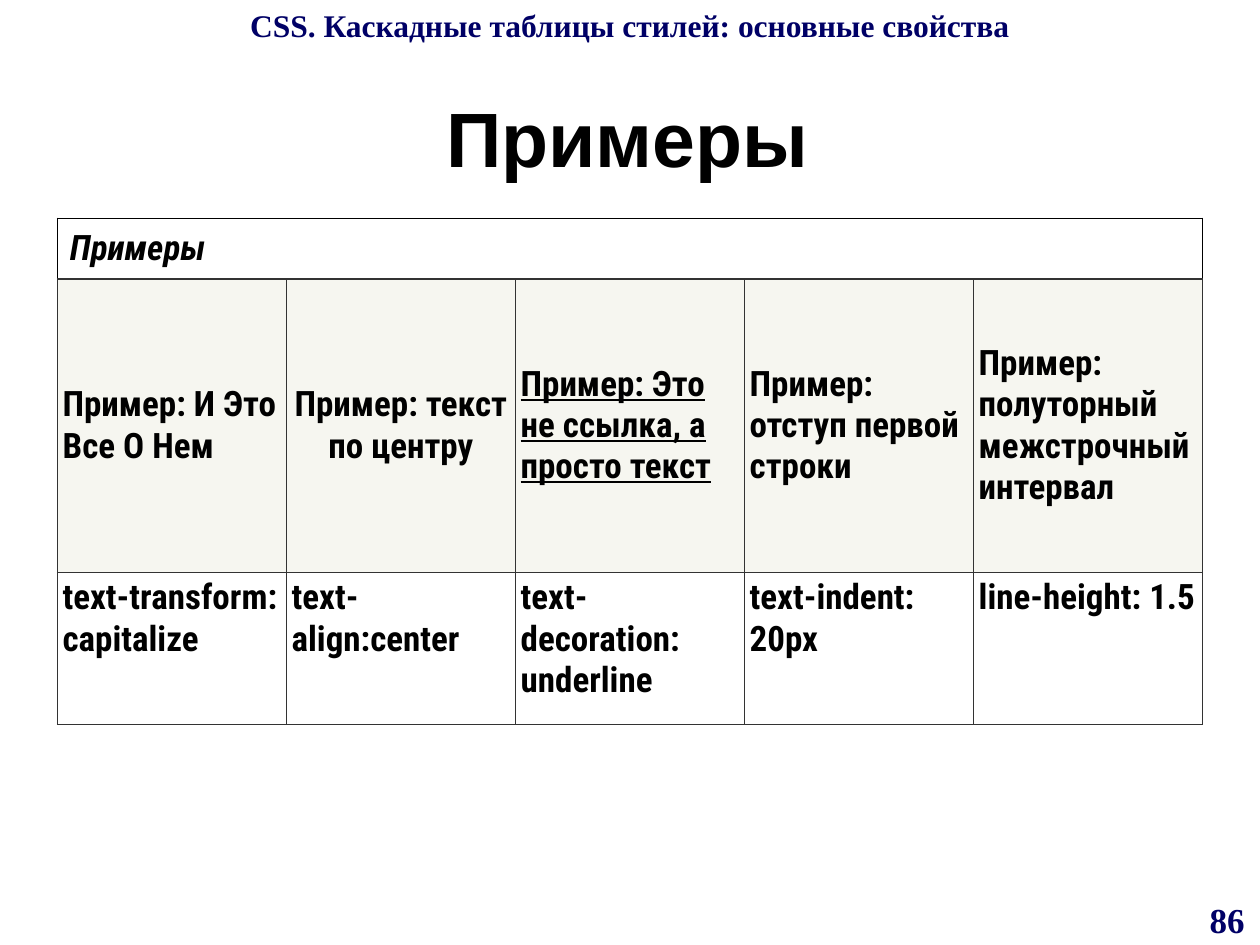
from dataclasses import dataclass

from lxml.etree import SubElement
from pptx import Presentation
from pptx.dml.color import RGBColor
from pptx.enum.text import MSO_ANCHOR as Anchor, PP_ALIGN as Align
from pptx.oxml.ns import qn
from pptx.util import Pt

NAVY, BLACK, WHITE = "000066", "000000", "FFFFFF"
GRID, PALE = "333333", "F6F6F0"


@dataclass
class Label:
    text: str
    left: float
    top: float
    width: float
    height: float
    size: float
    font: str
    color: str
    anchor: Anchor = Anchor.MIDDLE


@dataclass
class Example:
    sample: str
    rule: str
    align: Align = Align.LEFT
    underline: bool = False


LABELS = [
    Label("86", 682.5, 510.5, 37.5, 29.5, 20, "Times New Roman", NAVY),
    Label("CSS. Каскадные таблицы стилей: основные свойства",
          0, 0, 720, 45, 18, "Times New Roman", NAVY, Anchor.TOP),
    Label("Примеры", 34.5, 50, 648, 56, 44, "Arial", BLACK),
]
EXAMPLES = [
    Example("Пример: И Это Все О Нем", "text-transform: capitalize"),
    Example("Пример: текст по центру", "text-align:center", align=Align.CENTER),
    Example("Пример: Это не ссылка, а просто текст",
            "text-decoration: underline", underline=True),
    Example("Пример: отступ первой строки", "text-indent: 20px"),
    Example("Пример: полуторный межстрочный интервал", "line-height: 1.5"),
]
TABLE_LEFT, TABLE_TOP, COLUMN_WIDTH = 32.8, 124.7, 130.9
ROW_HEIGHTS = [34.7, 167.6, 87]


def rgb(color: str) -> RGBColor:
    return RGBColor.from_string(color)


def style_text(frame, size: float, font: str, color: str, align: Align,
               italic: bool = False, underline: bool = False) -> None:
    para = frame.paragraphs[0]
    para.alignment = align
    for span in para.runs:
        span.font.size = Pt(size)
        span.font.name = font
        span.font.bold = True
        span.font.italic = italic
        span.font.underline = underline
        span.font.color.rgb = rgb(color)


def draw_label(page, label: Label) -> None:
    box = page.shapes.add_textbox(Pt(label.left), Pt(label.top),
                                  Pt(label.width), Pt(label.height))
    frame = box.text_frame
    frame.word_wrap = True
    frame.vertical_anchor = label.anchor
    frame.text = label.text
    style_text(frame, label.size, label.font, label.color, Align.CENTER)


def draw_borders(cell, color: str) -> None:
    properties = cell._tc.get_or_add_tcPr()
    for side in ("a:lnL", "a:lnR", "a:lnT", "a:lnB"):
        line = SubElement(properties, qn(side), w=str(Pt(0.75)))
        fill = SubElement(line, qn("a:solidFill"))
        SubElement(fill, qn("a:srgbClr"), val=color)


def paint_cell(cell, fill: str, border: str) -> None:
    draw_borders(cell, border)
    cell.fill.solid()
    cell.fill.fore_color.rgb = rgb(fill)


def fill_cell(cell, text: str, anchor: Anchor, align: Align = Align.LEFT,
              italic: bool = False, underline: bool = False) -> None:
    cell.vertical_anchor = anchor
    cell.text_frame.text = text
    style_text(cell.text_frame, 20, "Roboto Condensed", BLACK, align,
               italic, underline)


def set_margins(cell, margin: float) -> None:
    cell.margin_left = cell.margin_right = Pt(margin)
    cell.margin_top = cell.margin_bottom = Pt(margin)


def draw_table(page, examples: list[Example]) -> None:
    count = len(examples)
    table = page.shapes.add_table(
        len(ROW_HEIGHTS), count, Pt(TABLE_LEFT), Pt(TABLE_TOP),
        Pt(COLUMN_WIDTH * count), Pt(sum(ROW_HEIGHTS))).table
    table.first_row = table.horz_banding = False
    for column in table.columns:
        column.width = Pt(COLUMN_WIDTH)
    for row, height in zip(table.rows, ROW_HEIGHTS):
        row.height = Pt(height)

    # Sample and rule rows, one column per example
    for index, example in enumerate(examples):
        heading, sample, rule = (table.cell(row, index) for row in range(3))
        paint_cell(heading, WHITE, BLACK)
        paint_cell(sample, PALE, GRID)
        paint_cell(rule, WHITE, GRID)
        set_margins(sample, 3)
        set_margins(rule, 3)
        fill_cell(sample, example.sample, Anchor.MIDDLE, example.align,
                  underline=example.underline)
        fill_cell(rule, example.rule, Anchor.TOP)

    # Heading across the whole table
    heading = table.cell(0, 0)
    heading.merge(table.cell(0, count - 1))
    fill_cell(heading, "Примеры", Anchor.MIDDLE, italic=True)


def main() -> None:
    deck = Presentation()
    deck.slide_width, deck.slide_height = Pt(720), Pt(540)
    page = deck.slides.add_slide(deck.slide_layouts[6])
    for label in LABELS:
        draw_label(page, label)
    draw_table(page, EXAMPLES)
    deck.save("out.pptx")


if __name__ == "__main__":
    main()
